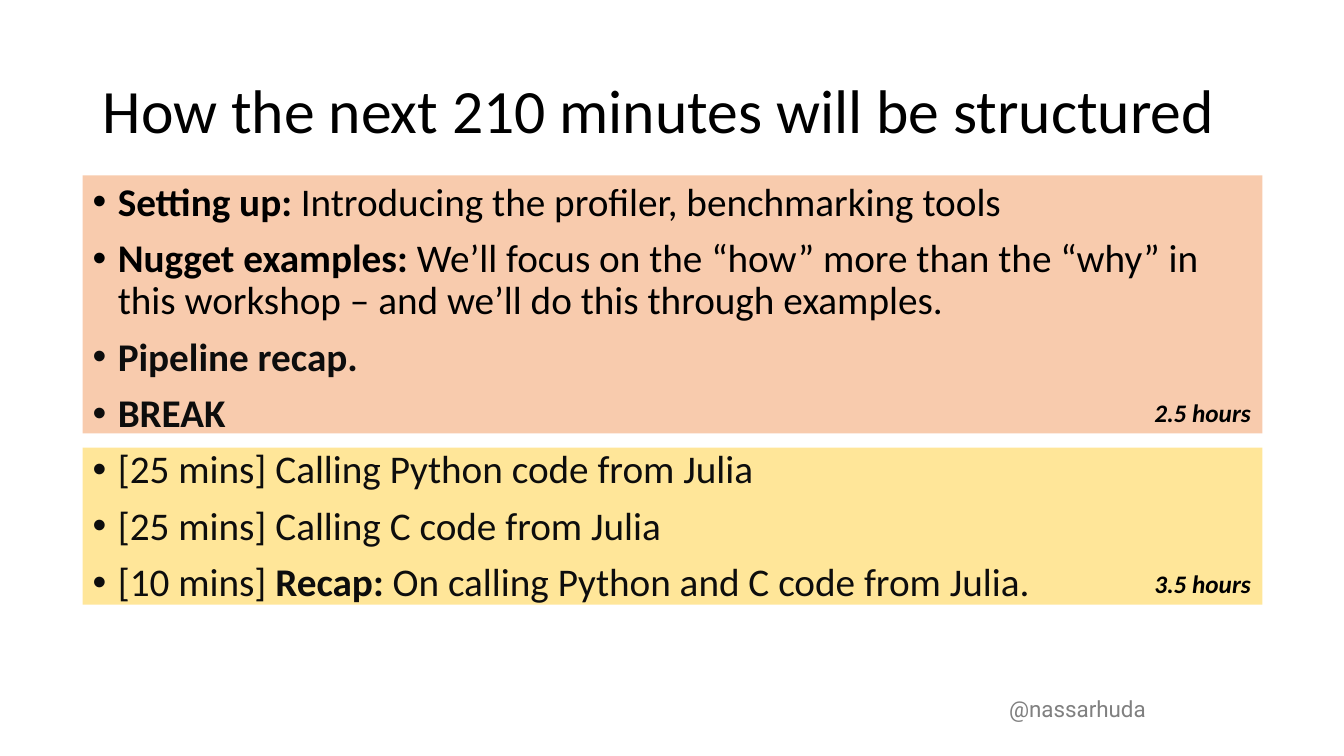
import pptx
import pptx.dml.color
import pptx.enum.shapes
import pptx.enum.text
import pptx.util
from lxml import etree

EMU_PER_PX = 9144
BLACK = "000000"
NEAR_BLACK = "0D0D0D"
AGENDA = [
    (BLACK, [("Setting up: ", True), ("Introducing the profiler, benchmarking tools", False)]),
    (BLACK, [("Nugget examples: ", True),
             ("We’ll focus on the “how” more than the “why” in this workshop – "
              "and we’ll do this through examples.", False)]),
    (NEAR_BLACK, [("Pipeline recap.", True)]),
    (NEAR_BLACK, [("BREAK", True)]),
    (NEAR_BLACK, [("[25 mins] Calling Python code from Julia", False)]),
    (NEAR_BLACK, [("[25 mins] Calling C code from Julia", False)]),
    (NEAR_BLACK, [("[10 mins] ", False), ("Recap: ", True),
                  ("On calling Python and C code from Julia.", False)]),
]


def px(length):
    return pptx.util.Emu(length * EMU_PER_PX)


def color(value):
    return pptx.dml.color.RGBColor.from_string(value)


def style_paragraph(paragraph, size, font_color, font_name="Calibri"):
    paragraph.font.size = pptx.util.Pt(size)
    paragraph.font.name = font_name
    paragraph.font.color.rgb = color(font_color)


def add_band(slide, top, height, fill):
    shape = slide.shapes.add_shape(
        pptx.enum.shapes.MSO_SHAPE.RECTANGLE, px(82), px(top), px(1170), px(height))
    shape.shadow.inherit = False
    shape.fill.solid()
    shape.fill.fore_color.rgb = color(fill)
    shape.line.fill.background()


def add_text_frame(slide, left, top, width, height, wrap=True):
    box = slide.shapes.add_textbox(px(left), px(top), px(width), px(height))
    box.text_frame.word_wrap = wrap
    return box.text_frame


def add_title(slide, text):
    frame = add_text_frame(slide, 92, 40, 1150, 145)
    frame.vertical_anchor = pptx.enum.text.MSO_ANCHOR.MIDDLE
    paragraph = frame.paragraphs[0]
    paragraph.text = text
    paragraph.line_spacing = 0.9
    style_paragraph(paragraph, 44, BLACK)


def add_bullet(paragraph):
    properties = paragraph._p.get_or_add_pPr()
    properties.set("marL", str(px(25)))
    properties.set("indent", str(px(-25)))
    namespace = properties.nsmap["a"]
    font = etree.Element(f"{{{namespace}}}buFont", typeface="Arial")
    bullet = etree.Element(f"{{{namespace}}}buChar", char="•")
    default_font = properties.find(f"{{{namespace}}}defRPr")
    default_font.addprevious(font)
    default_font.addprevious(bullet)


def add_agenda(slide, items):
    frame = add_text_frame(slide, 82, 176, 1150, 476)
    for index, (font_color, parts) in enumerate(items):
        paragraph = frame.add_paragraph() if index else frame.paragraphs[0]
        paragraph.line_spacing = 0.9
        paragraph.space_before = pptx.util.Pt(10)
        style_paragraph(paragraph, 28, font_color)
        add_bullet(paragraph)
        for text, bold in parts:
            run = paragraph.add_run()
            run.text = text
            run.font.bold = bold


def add_duration(slide, top, text):
    paragraph = add_text_frame(slide, 1135, top, 117, 40, wrap=False).paragraphs[0]
    paragraph.text = text
    style_paragraph(paragraph, 18, BLACK)
    paragraph.font.bold = True
    paragraph.font.italic = True


def add_handle(slide, text):
    paragraph = add_text_frame(slide, 991, 685, 160, 37).paragraphs[0]
    paragraph.text = text
    style_paragraph(paragraph, 16, "808080", "Roboto")


def main():
    presentation = pptx.Presentation()
    presentation.slide_width = px(1333)
    presentation.slide_height = px(750)
    slide = presentation.slides.add_slide(presentation.slide_layouts[6])
    add_band(slide, 444, 156, "FFE699")
    add_band(slide, 174, 256, "F8CBAD")
    add_title(slide, "How the next 210 minutes will be structured")
    add_agenda(slide, AGENDA)
    add_duration(slide, 389, "2.5 hours")
    add_duration(slide, 559, "3.5 hours")
    add_handle(slide, "@nassarhuda")
    presentation.save("out.pptx")


if __name__ == "__main__":
    main()
